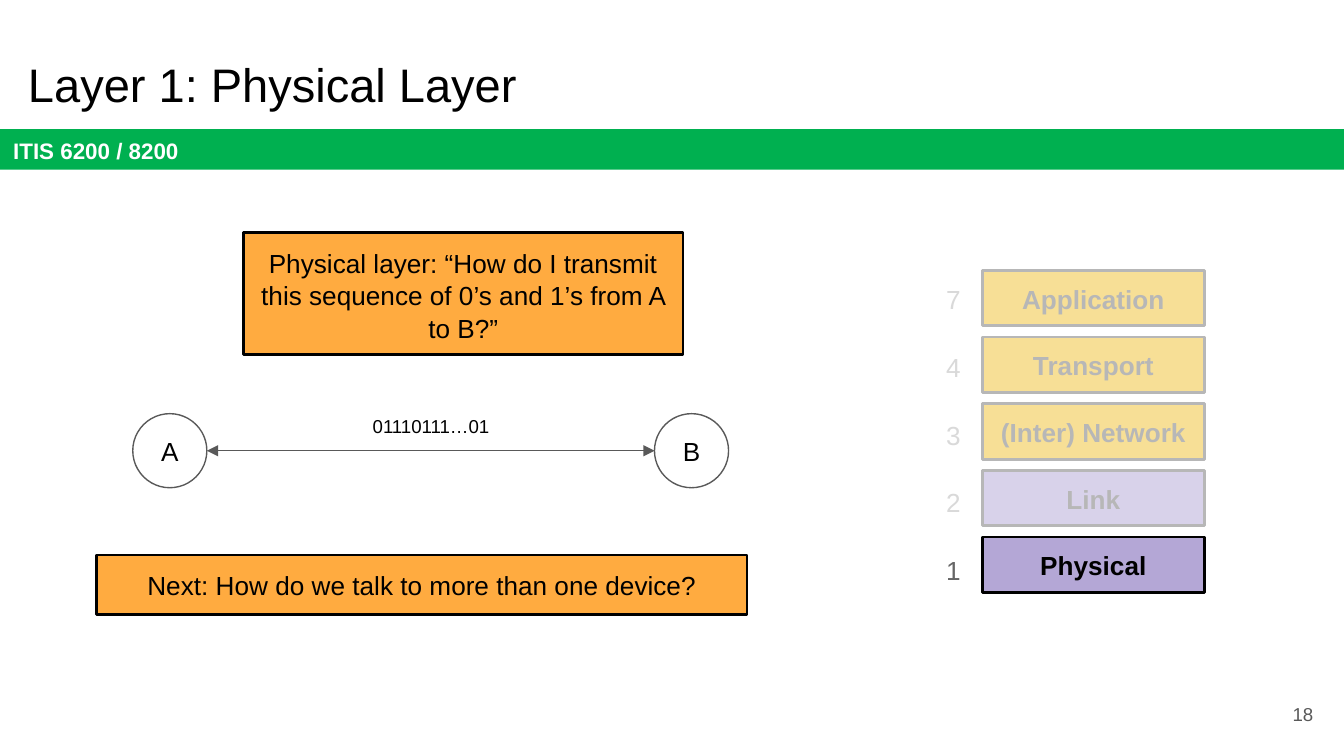
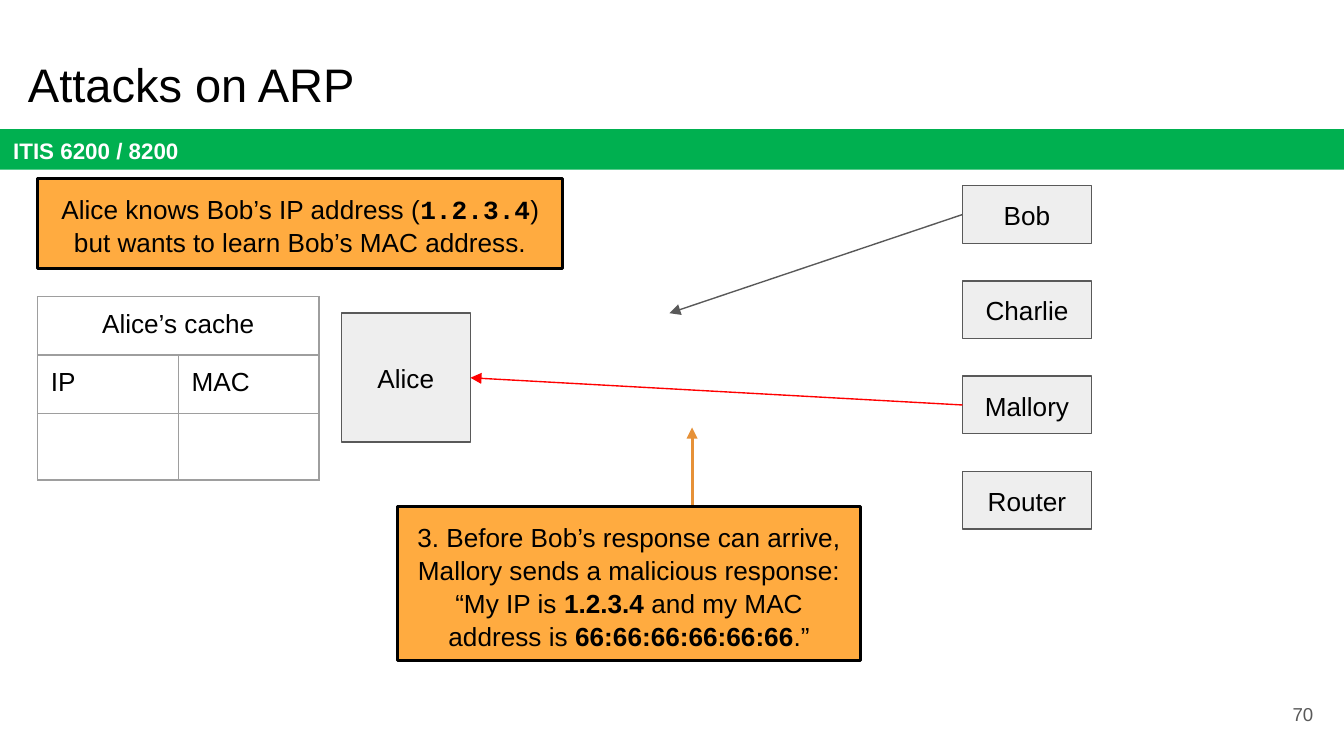
from dataclasses import dataclass

from lxml import etree
from pptx import Presentation
from pptx.dml.color import RGBColor
from pptx.enum.shapes import MSO_CONNECTOR, MSO_SHAPE
from pptx.enum.text import MSO_ANCHOR, PP_ALIGN
from pptx.oxml.ns import qn
from pptx.util import Cm, Pt

RECTANGLE, OVAL = MSO_SHAPE.RECTANGLE, MSO_SHAPE.OVAL
STRAIGHT = MSO_CONNECTOR.STRAIGHT
LEFT, CENTER, RIGHT = PP_ALIGN.LEFT, PP_ALIGN.CENTER, PP_ALIGN.RIGHT
TOP, MIDDLE, BOTTOM = MSO_ANCHOR.TOP, MSO_ANCHOR.MIDDLE, MSO_ANCHOR.BOTTOM


@dataclass(frozen=True)
class Theme:
    font: str = "Arial"
    code_font: str = "Courier New"
    title_size: float = 25.2
    band_size: float = 12
    body_size: float = 14
    small_size: float = 10
    line_spacing: float = 1.05
    inset: float = 0.25
    thin: float = 0.75
    thick: float = 1.5
    black: str = "000000"
    white: str = "FFFFFF"
    band: str = "00B050"
    callout: str = "FFAB40"
    pointer: str = "E69138"
    attack: str = "FF0000"
    outline: str = "595959"
    host: str = "EEEEEE"
    grid: str = "9E9E9E"
    upper_layer: str = "F1C232"
    lower_layer: str = "B4A7D6"
    faded: str = "B7B7B7"
    faded_number: str = "D9D9D9"
    active_number: str = "666666"
    faded_alpha: int = 51


THEME = Theme()

# Content; a run is (text, changes), lengths are in centimetres
COURSE = "ITIS 6200 / 8200"
PHYSICAL = {"title": "Layer 1: Physical Layer", "number": "18"}
ARP = {"title": "Attacks on ARP", "number": "70"}

LAYERS = [
    ("7", "Application", THEME.upper_layer),
    ("4", "Transport", THEME.upper_layer),
    ("3", "(Inter) Network", THEME.upper_layer),
    ("2", "Link", THEME.lower_layer),
    ("1", "Physical", THEME.lower_layer),
]
ACTIVE_LAYER = "Physical"
DEVICES = [("A", 2.51), ("B", 12.37)]
BITS = "01110111…01"
PHYSICAL_CALLOUTS = [
    ((4.6, 4.39, 8.31, 2.31),
     [("Physical layer: “How do I transmit this sequence of 0’s and 1’s from A to B?”", {})]),
    ((1.83, 10.49, 12.29, 1.12),
     [("Next: How do we talk to more than one device?", {})]),
]

PEERS = ["Bob", "Charlie", "Mallory", "Router"]
CACHE_TITLE = "Alice’s cache"
CACHE_HEADINGS = ["IP", "MAC"]
ARP_CALLOUTS = [
    ((7.52, 9.58, 8.74, 2.9),
     [("3. Before Bob’s response can arrive, Mallory sends a malicious response: “My IP is ", {}),
      ("1.2.3.4", {"bold": True}),
      (" and my MAC address is ", {}),
      ("66:66:66:66:66:66", {"bold": True}),
      (".”", {})]),
    ((0.71, 3.38, 9.93, 1.7),
     [("Alice knows Bob’s IP address (", {}),
      ("1.2.3.4", {"bold": True, "font": THEME.code_font}),
      (") but wants to learn Bob’s MAC address.", {})]),
]


# Helpers
def rgb(value):
    return RGBColor.from_string(value)


def write_text(frame, runs, size=THEME.body_size, color=THEME.black, bold=False,
               align=CENTER, spacing=THEME.line_spacing):
    paragraph = frame.paragraphs[0]
    paragraph.alignment = align
    paragraph.line_spacing = spacing
    for text, changes in runs:
        run = paragraph.add_run()
        run.text = text
        run.font.name = changes.get("font", THEME.font)
        run.font.size = Pt(size)
        run.font.bold = changes.get("bold", bold)
        run.font.color.rgb = rgb(color)


def set_frame(frame, anchor):
    frame.word_wrap = True
    frame.vertical_anchor = anchor
    frame.margin_left = frame.margin_right = Cm(THEME.inset)
    frame.margin_top = frame.margin_bottom = Cm(THEME.inset)


def add_label(slide, box, text, anchor=TOP, **style):
    shape = slide.shapes.add_textbox(*map(Cm, box))
    set_frame(shape.text_frame, anchor)
    write_text(shape.text_frame, [(text, {})], **style)


def add_box(slide, box, runs, fill, line=None, width=THEME.thin, kind=RECTANGLE,
            anchor=MIDDLE, alpha=None, **style):
    shape = slide.shapes.add_shape(kind, *map(Cm, box))
    shape.shadow.inherit = False
    shape.fill.solid()
    shape.fill.fore_color.rgb = rgb(fill)
    if alpha:
        color = shape.fill._xPr.find(".//" + qn("a:srgbClr"))
        etree.SubElement(color, qn("a:alpha"), val=str(alpha * 1000))
    if line:
        shape.line.color.rgb = rgb(line)
        shape.line.width = Pt(width)
    else:
        shape.line.fill.background()
    set_frame(shape.text_frame, anchor)
    write_text(shape.text_frame, runs, **style)


def add_callouts(slide, callouts):
    for box, runs in callouts:
        add_box(slide, box, runs, THEME.callout, THEME.black, THEME.thick, anchor=TOP)


def add_arrow(slide, start, end, color=THEME.outline, width=THEME.thin, both=False):
    arrow = slide.shapes.add_connector(STRAIGHT, *map(Cm, start + end))
    arrow.line.color.rgb = rgb(color)
    arrow.line.width = Pt(width)
    line = arrow.line._get_or_add_ln()
    for tag in ["a:headEnd", "a:tailEnd"] if both else ["a:tailEnd"]:
        etree.SubElement(line, qn(tag), type="triangle")
    etree.SubElement(arrow._element.spPr, qn("a:effectLst"))


def add_cell_borders(cell):
    properties = cell._tc.get_or_add_tcPr()
    for position, side in enumerate(["a:lnL", "a:lnR", "a:lnT", "a:lnB"]):
        border = etree.Element(qn(side), w=str(Pt(THEME.thin)))
        fill = etree.SubElement(border, qn("a:solidFill"))
        etree.SubElement(fill, qn("a:srgbClr"), val=THEME.grid)
        properties.insert(position, border)


def add_slide(presentation, content):
    slide = presentation.slides.add_slide(presentation.slide_layouts[6])
    add_box(slide, (0, 2.44, 25.4, 0.77), [(COURSE, {})], THEME.band,
            size=THEME.band_size, color=THEME.white, bold=True, align=LEFT)
    add_label(slide, (0.28, 0.76, 23.67, 1.6), content["title"], BOTTOM,
              size=THEME.title_size, align=LEFT)
    add_label(slide, (23.55, 12.95, 1.52, 1.09), content["number"], MIDDLE,
              size=THEME.small_size, color=THEME.outline, align=RIGHT)
    return slide


# Slide: physical layer
def build_physical(presentation):
    slide = add_slide(presentation, PHYSICAL)

    # Layer stack
    for index, (number, name, fill) in enumerate(LAYERS):
        active = name == ACTIVE_LAYER
        ink = THEME.black if active else THEME.faded
        add_box(slide, (18.57, 5.11 + 1.26 * index, 4.19, 1.05), [(name, {})], fill, ink,
                THEME.thick, alpha=None if active else THEME.faded_alpha,
                color=ink, bold=True)
        add_label(slide, (17.63, 5.08 + 1.28 * index, 0.71, 1.12), number, align=LEFT,
                  color=THEME.active_number if active else THEME.faded_number)

    # Two devices and the link between them
    top, diameter = 7.82, 1.4
    for name, left in DEVICES:
        add_box(slide, (left, top, diameter, diameter), [(name, {})], THEME.white,
                THEME.outline, kind=OVAL)
    middle = top + diameter / 2
    add_arrow(slide, (DEVICES[0][1] + diameter, middle), (DEVICES[1][1], middle), both=True)
    add_label(slide, (6.2, 7.59, 3.89, 0.94), BITS, size=THEME.small_size)
    add_callouts(slide, PHYSICAL_CALLOUTS)


# Slide: attacks on ARP
def add_cache(slide):
    rows, columns, row_height, column_width = 3, len(CACHE_HEADINGS), 1.1, 2.66
    table = slide.shapes.add_table(rows, columns, Cm(0.71), Cm(5.61),
                                   Cm(columns * column_width), Cm(rows * row_height)).table
    table.first_row = table.horz_banding = False
    for column in table.columns:
        column.width = Cm(column_width)
    for row in table.rows:
        row.height = Cm(row_height)
    for cell in table.iter_cells():
        cell.fill.background()
        set_frame(cell, TOP)
        add_cell_borders(cell)
    table.cell(0, 0).merge(table.cell(0, columns - 1))
    write_text(table.cell(0, 0).text_frame, [(CACHE_TITLE, {})], spacing=1.0)
    for index, heading in enumerate(CACHE_HEADINGS):
        write_text(table.cell(1, index).text_frame, [(heading, {})], align=LEFT, spacing=1.0)


def build_arp(presentation):
    slide = add_slide(presentation, ARP)

    # Hosts
    alice_left, alice_top, side = 6.45, 5.92, 2.44
    peer_left, peer_height = 18.19, 1.09
    add_box(slide, (alice_left, alice_top, side, side), [("Alice", {})],
            THEME.host, THEME.outline)
    peer_middles = {}
    for index, name in enumerate(PEERS):
        top = 3.51 + 1.8 * index
        peer_middles[name] = top + peer_height / 2
        add_box(slide, (peer_left, top, side, peer_height), [(name, {})],
                THEME.host, THEME.outline)

    # Cache, callouts and messages
    add_cache(slide)
    add_arrow(slide, (13.08, 11.4), (13.08, 8.08), THEME.pointer, THEME.thick)
    add_callouts(slide, ARP_CALLOUTS)
    add_arrow(slide, (peer_left, peer_middles["Bob"]), (12.65, 5.92))
    add_arrow(slide, (peer_left, peer_middles["Mallory"]),
              (alice_left + side, alice_top + side / 2), THEME.attack)


def main():
    presentation = Presentation()
    presentation.slide_width = Cm(25.4)
    presentation.slide_height = Cm(14.29)
    build_physical(presentation)
    build_arp(presentation)
    presentation.save("out.pptx")


if __name__ == "__main__":
    main()
